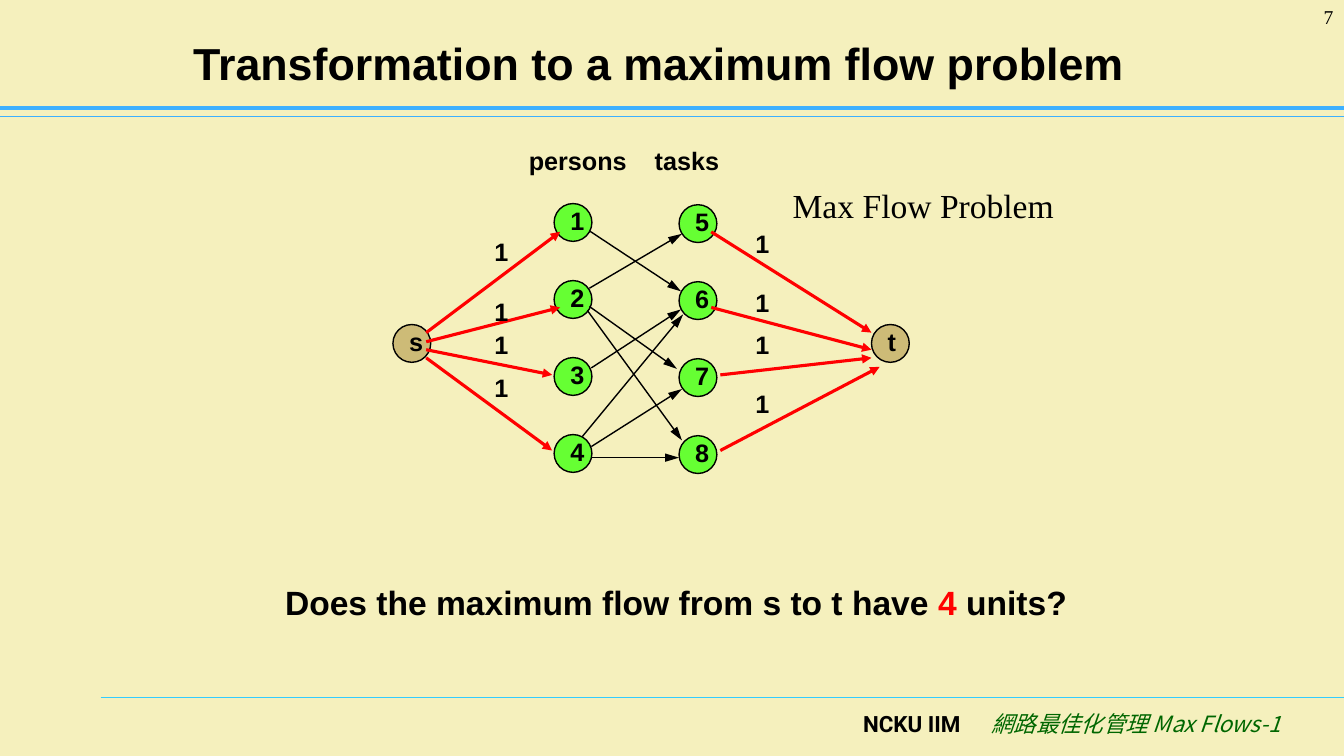
from pptx import Presentation
from pptx.dml.color import RGBColor
from pptx.enum.shapes import MSO_CONNECTOR, MSO_SHAPE
from pptx.enum.text import MSO_ANCHOR, PP_ALIGN
from pptx.oxml.ns import qn
from pptx.util import Pt
from lxml import etree

STRAIGHT = MSO_CONNECTOR.STRAIGHT
OVAL = MSO_SHAPE.OVAL
TOP, MIDDLE = MSO_ANCHOR.TOP, MSO_ANCHOR.MIDDLE
LEFT, CENTER, RIGHT = PP_ALIGN.LEFT, PP_ALIGN.CENTER, PP_ALIGN.RIGHT

CREAM = RGBColor(0xF5, 0xF0, 0xBD)
BLACK = RGBColor(0x00, 0x00, 0x00)
RED = RGBColor(0xFF, 0x00, 0x00)
GREEN = RGBColor(0x66, 0xFF, 0x33)
TAN = RGBColor(0xCD, 0xBB, 0x77)
DARK_GREEN = RGBColor(0x00, 0x66, 0x00)
SKY = RGBColor(0x3D, 0xB0, 0xFF)
CYAN = RGBColor(0x33, 0xCC, 0xFF)

SANS, SERIF, CJK = "Arial", "Times New Roman", "Noto Sans CJK SC"
PAGE_WIDTH, PAGE_HEIGHT = 960.5, 540
NODE = 27
ROW_STEP = 55
PERSONS_X, TASKS_X, SINK_X = 115.2, 204.5, 342
TERMINAL_Y = 86.4

# Each arc is (start x, start y, end x, end y) inside the network box.
ASSIGNMENT_ARCS = [
    (140.4, 19.5, 205.9, 62.7),
    (140.4, 60.5, 206.6, 21.6),
    (140.4, 73.5, 203, 118.1),
    (139, 76.4, 206.6, 169.2),
    (141.8, 117.4, 205.9, 75.6),
    (135.4, 166.4, 207.4, 79.2),
    (141.8, 173.6, 206.6, 132.5),
    (142.6, 181.5, 204.5, 181.5),
]
SOURCE_ARCS = [
    (23.8, 92.2, 119.5, 20.2),
    (23.8, 98.7, 119.5, 74.2),
    (23.8, 104.4, 113.8, 122.4),
    (23.8, 110.2, 113.8, 176.4),
]
SINK_ARCS = [
    (227.5, 20.2, 342, 92.2),
    (227.5, 74.2, 342, 104.4),
    (234, 122.4, 342, 110.2),
    (234, 176.4, 347.8, 116.7),
]
CAPACITY_COLUMNS = {
    65.5: (20.2, 62.7, 86.4, 116.7),
    252: (14.4, 56.2, 86.4, 128.2),
}


def add_span(para, text, size, color=BLACK, font=SANS, bold=True, italic=False):
    span = para.add_run()
    span.text = text
    span.font.size = Pt(size)
    span.font.name = font
    span.font.bold = bold
    span.font.italic = italic
    span.font.color.rgb = color
    return span


def set_frame(frame, margins, anchor=TOP, align=LEFT):
    """Apply margins (left, top, right, bottom) and return the first paragraph."""
    frame.word_wrap = True
    frame.vertical_anchor = anchor
    (frame.margin_left, frame.margin_top,
     frame.margin_right, frame.margin_bottom) = map(Pt, margins)
    para = frame.paragraphs[0]
    para.alignment = align
    return para


def add_text(page, x, y, width, height, align=LEFT):
    box = page.shapes.add_textbox(Pt(x), Pt(y), Pt(width), Pt(height))
    return set_frame(box.text_frame, (7.2, 3.6, 7.2, 3.6), align=align)


def add_line(page, x1, y1, x2, y2, color, width, head_length=None):
    """Draw a line; head_length ("med" or "lg") adds an arrowhead at its end."""
    line = page.shapes.add_connector(STRAIGHT, Pt(x1), Pt(y1), Pt(x2), Pt(y2))
    line.line.color.rgb = color
    line.line.width = Pt(width)
    properties = line._element.spPr
    if head_length:
        etree.SubElement(properties.find(qn("a:ln")), qn("a:tailEnd"),
                         type="triangle", w="med", len=head_length)
    etree.SubElement(properties, qn("a:effectLst"))


def add_node(page, x, y, label, color):
    node = page.shapes.add_shape(OVAL, Pt(x), Pt(y), Pt(NODE), Pt(NODE))
    node.shadow.inherit = False
    node.fill.solid()
    node.fill.fore_color.rgb = color
    node.line.color.rgb = BLACK
    node.line.width = Pt(1)
    para = set_frame(node.text_frame, (7.6, 0, 0, 2.5), MIDDLE)
    add_span(para, label, 18)


def add_header(page, x, y, width):
    title = page.shapes.title
    title.left, title.top = Pt(x + 120), Pt(y + 24)
    title.width, title.height = Pt(702), Pt(42)
    para = set_frame(title.text_frame, (0, 0, 0, 0), MIDDLE, CENTER)
    add_span(para, "Transformation to a maximum flow problem", 32)
    add_line(page, x, y + 77, x + width, y + 77, SKY, 2.5)
    add_line(page, x, y + 83.5, x + width, y + 83.5, SKY, 0.75)
    number = add_text(page, x + width - 80.5, y, 80, 36, RIGHT)
    add_span(number, "7", 14, font=SERIF, bold=False)


def add_network(page, x, y):
    def add_arcs(arcs, color, width, head_length):
        for x1, y1, x2, y2 in arcs:
            add_line(page, x + x1, y + y1, x + x2, y + y2,
                     color, width, head_length)

    for row in range(4):
        add_node(page, x + PERSONS_X, y + row * ROW_STEP, str(row + 1), GREEN)
        add_node(page, x + TASKS_X, y + 0.8 + row * ROW_STEP, str(row + 5), GREEN)
    add_node(page, x, y + TERMINAL_Y, "s", TAN)
    add_node(page, x + SINK_X, y + TERMINAL_Y, "t", TAN)

    add_arcs(ASSIGNMENT_ARCS, BLACK, 1, "lg")
    add_arcs(SOURCE_ARCS + SINK_ARCS, RED, 2.25, "med")

    for column, tops in CAPACITY_COLUMNS.items():
        for top in tops:
            add_span(add_text(page, x + column, y + top, 25, 28.8), "1", 18)
    for heading, left, width in (("persons", 90, 90), ("tasks", 180, 78)):
        add_span(add_text(page, x + left, y - 45.4, width, 28.8), heading, 18)
    caption = add_text(page, x + 278.6, y - 17.2, 201, 36)
    add_span(caption, "Max Flow Problem", 24, font=SERIF, bold=False)


def add_question(page, x, y, width):
    para = add_text(page, x, y, width, 36)
    add_span(para, "Does the maximum flow from s to t have ", 24)
    add_span(para, "4", 24, RED)
    add_span(para, " units?", 24)


def add_footer(page, x, y, width):
    add_line(page, x, y, x + width, y, CYAN, 0.75)
    school = add_text(page, x + 500, y + 5.8, 121.5, 36, RIGHT)
    add_span(school, "NCKU IIM", 16, font="Roboto")
    course = add_text(page, x + 620, y + 5.8, 230.3, 36, RIGHT)
    span = add_span(course, "網路最佳化管理 Max Flows-1", 16, DARK_GREEN,
                    CJK, bold=False, italic=True)
    etree.SubElement(span.font._element, qn("a:ea"), typeface=CJK)


def main():
    deck = Presentation()
    deck.slide_width, deck.slide_height = Pt(PAGE_WIDTH), Pt(PAGE_HEIGHT)
    page = deck.slides.add_slide(deck.slide_layouts[5])
    page.background.fill.solid()
    page.background.fill.fore_color.rgb = CREAM
    add_header(page, 0, 0, PAGE_WIDTH)
    add_network(page, 280.8, 145.4)
    add_question(page, 196.6, 411.8, 588)
    add_footer(page, 72, 498.2, PAGE_WIDTH - 72)
    deck.save("out.pptx")


if __name__ == "__main__":
    main()
